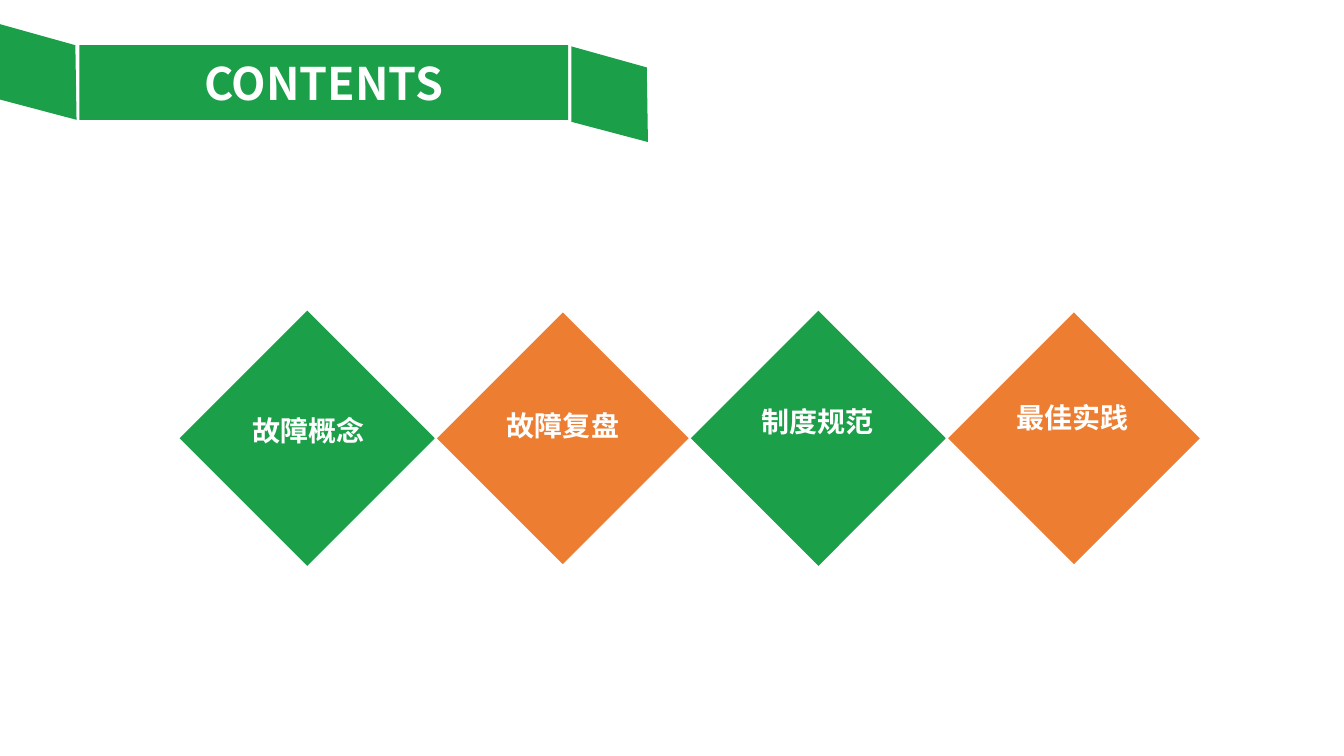
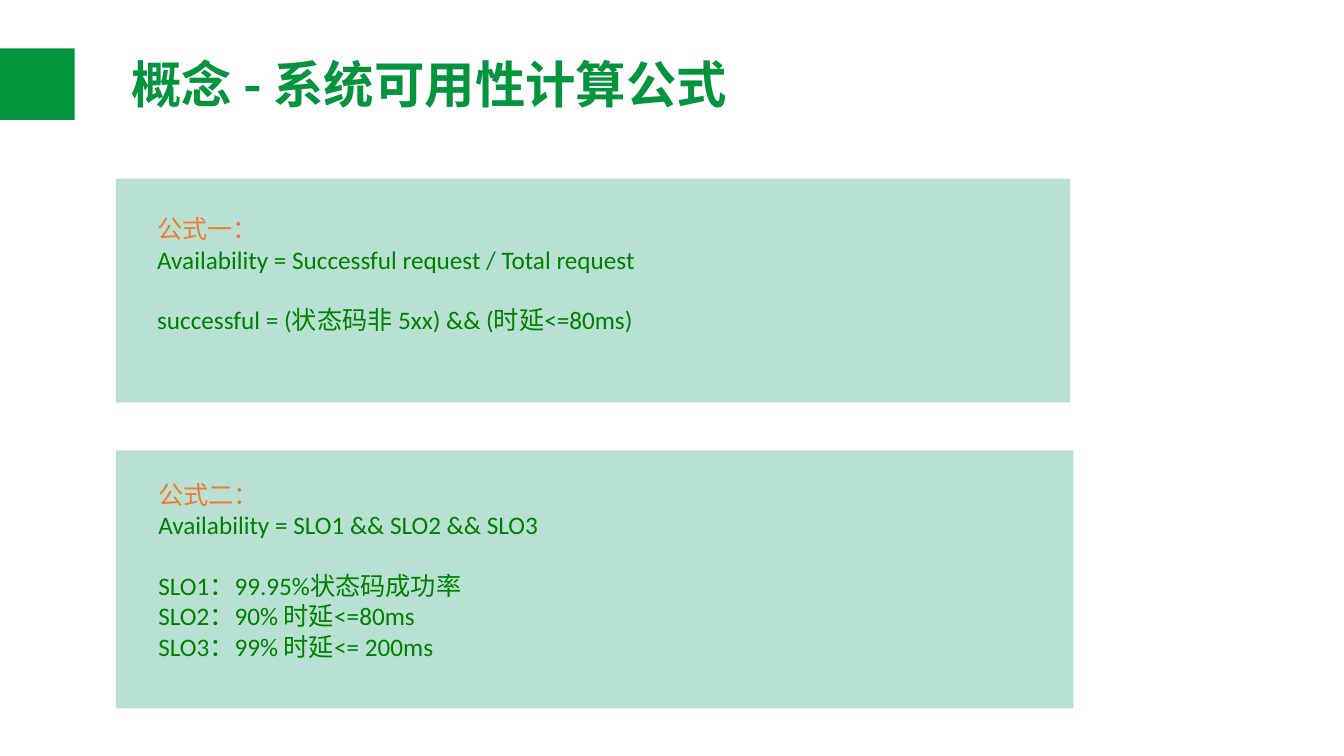
from lxml import etree
from pptx import Presentation
from pptx.dml.color import RGBColor
from pptx.enum.shapes import MSO_SHAPE
from pptx.enum.text import MSO_ANCHOR, PP_ALIGN
from pptx.oxml.ns import qn
from pptx.util import Cm, Pt

RECTANGLE = MSO_SHAPE.RECTANGLE
DIAMOND = MSO_SHAPE.DIAMOND
LEFT = PP_ALIGN.LEFT
CENTER = PP_ALIGN.CENTER
MIDDLE = MSO_ANCHOR.MIDDLE

COLORS = {
    "ribbon": "1B9F49",
    "title": "04943E",
    "orange": "ED7D31",
    "panel": "B8E1D4",
    "formula": "008000",
    "white": "FFFFFF",
}
CHINESE_FONT = "Noto Sans CJK SC"
LATIN_FONT = "Calibri"
BLANK_LAYOUT = 6


def color_of(name):
    return RGBColor.from_string(COLORS[name])


def write(para, text, size=18, color="white", bold=False, font=CHINESE_FONT,
          align=LEFT, before=0):
    para.alignment = align
    para.space_before = Pt(before)
    span = para.add_run()
    span.text = text
    span.font.size = Pt(size)
    span.font.bold = bold
    span.font.color.rgb = color_of(color)
    span.font.name = font
    east_asian = etree.SubElement(span.font._element, qn("a:ea"))
    east_asian.set("typeface", CHINESE_FONT)


class SlideWriter:
    def __init__(self, deck):
        self.deck = deck
        self.page = None

    def new_page(self):
        layout = self.deck.slide_layouts[BLANK_LAYOUT]
        self.page = self.deck.slides.add_slide(layout)

    def paint(self, shape, fill, line=None):
        shape.shadow.inherit = False
        shape.fill.solid()
        shape.fill.fore_color.rgb = color_of(fill)
        if line:
            shape.line.color.rgb = color_of(line)
            shape.line.width = Pt(1.5)
        else:
            shape.line.fill.background()

    def block(self, kind, left, top, width, height, fill, line=None):
        shape = self.page.shapes.add_shape(
            kind, Cm(left), Cm(top), Cm(width), Cm(height))
        self.paint(shape, fill, line)
        return shape

    def ribbon_fold(self, left, top):
        corners = [(1.9, 0.53), (1.93, 2.41), (0, 1.9)]
        builder = self.page.shapes.build_freeform(Cm(left), Cm(top))
        builder.add_line_segments(
            [(Cm(left + x), Cm(top + y)) for x, y in corners])
        self.paint(builder.convert_to_shape(), "ribbon")

    def ribbon(self, text):
        self.ribbon_fold(0, 0.61)
        band = self.block(RECTANGLE, 2, 1.14, 12.32, 1.88, "ribbon")
        band.text_frame.vertical_anchor = MIDDLE
        write(band.text_frame.paragraphs[0], text, size=32, bold=True,
              align=CENTER)
        self.ribbon_fold(14.4, 1.17)

    def text(self, left, top, width, height, lines):
        box = self.page.shapes.add_textbox(
            Cm(left), Cm(top), Cm(width), Cm(height))
        frame = box.text_frame
        frame.word_wrap = True
        for index, (words, style) in enumerate(lines):
            para = frame.add_paragraph() if index else frame.paragraphs[0]
            write(para, words, **style)

    def title(self, text):
        style = {"size": 36, "color": "title", "bold": True, "align": CENTER}
        self.text(0.2, 1.22, 21.23, 1.8, [(text, style)])
        self.block(RECTANGLE, 0, 1.22, 1.88, 1.8, "title")

    def formula(self, heading, equation, details, panel, area):
        self.block(RECTANGLE, *panel, "panel")
        body = {"color": "formula", "font": LATIN_FONT}
        lines = [(heading, {"color": "orange"}), (equation, body)]
        for index, detail in enumerate(details):
            lines.append((detail, {**body, "before": 0 if index else 21.7}))
        self.text(*area, lines)


def contents_page(writer):
    writer.new_page()
    writer.ribbon("CONTENTS")
    topics = ["故障概念", "故障复盘", "制度规范", "最佳实践"]
    for index in range(len(topics)):
        fill, line = [("ribbon", None), ("orange", "white")][index % 2]
        writer.block(DIAMOND, 4.53 + 6.44 * index, 7.83, 6.43, 6.43,
                     fill, line)
    style = {"size": 20, "bold": True, "align": CENTER}
    for index, topic in enumerate(topics):
        writer.text(5.13 + 6.42 * index, 10.29 - 0.11 * index, 5.28, 1.11,
                    [(topic, style)])


def formulas_page(writer):
    writer.new_page()
    writer.title("概念 - 系统可用性计算公式")
    writer.formula(
        "公式一：",
        "Availability = Successful request / Total request",
        ["successful = (状态码非 5xx) && (时延<=80ms)"],
        panel=(2.92, 4.5, 24.05, 5.64),
        area=(3.71, 5.26, 21.9, 3.33))
    writer.formula(
        "公式二：",
        "Availability = SLO1 && SLO2 && SLO3",
        ["SLO1：99.95%状态码成功率", "SLO2：90% 时延<=80ms",
         "SLO3：99% 时延<= 200ms"],
        panel=(2.92, 11.35, 24.13, 6.5),
        area=(3.74, 11.96, 22.48, 4.88))


def main():
    deck = Presentation()
    deck.slide_width = Cm(33.87)
    deck.slide_height = Cm(19.05)
    writer = SlideWriter(deck)
    contents_page(writer)
    formulas_page(writer)
    deck.save("out.pptx")


if __name__ == "__main__":
    main()
